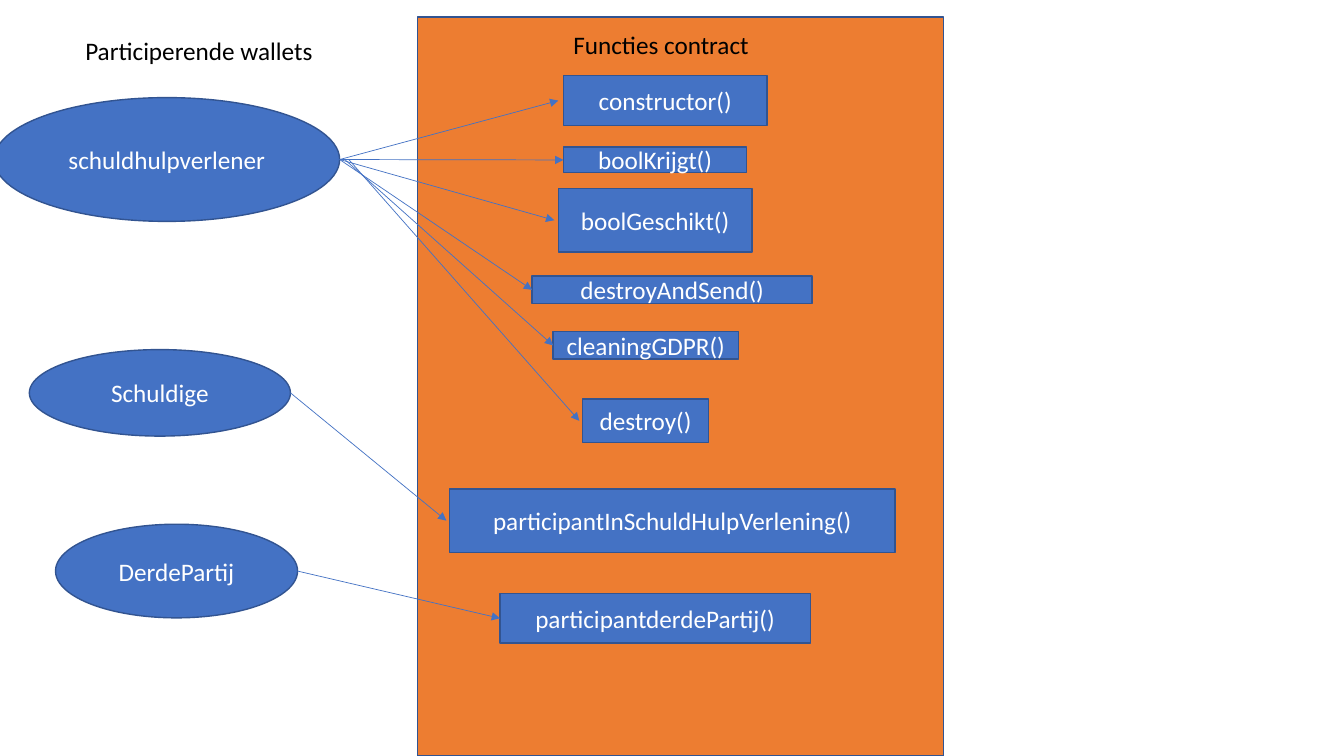
from lxml.etree import SubElement
from pptx import Presentation
from pptx.dml.color import RGBColor
from pptx.enum.shapes import MSO_CONNECTOR, MSO_SHAPE
from pptx.enum.text import MSO_ANCHOR, MSO_AUTO_SIZE, PP_ALIGN
from pptx.oxml.ns import qn
from pptx.util import Cm, Pt

BLUE = RGBColor(0x44, 0x72, 0xC4)
EDGE = RGBColor(0x32, 0x54, 0x91)
ORANGE = RGBColor(0xED, 0x7D, 0x31)
WHITE = RGBColor(0xFF, 0xFF, 0xFF)
BLACK = RGBColor(0x00, 0x00, 0x00)

PANEL = (10.52, 0.43, 13.26, 18.62)

# name: left, top, width, height in cm
WALLETS = {
    "DerdePartij": (1.4, 13.21, 6.1, 2.36),
    "Schuldige": (0.74, 8.81, 6.58, 2.18),
    "schuldhulpverlener": (-0.15, 2.46, 8.71, 3.12),
}
CALLS = {
    "participantInSchuldHulpVerlening()": (11.33, 12.32, 11.23, 1.6),
    "participantderdePartij()": (12.6, 14.96, 7.82, 1.24),
    "boolGeschikt()": (14.07, 4.75, 4.88, 1.6),
    "boolKrijgt()": (14.2, 3.71, 4.62, 0.64),
    "destroy()": (14.68, 10.06, 3.18, 1.09),
    "cleaningGDPR()": (13.94, 8.36, 4.67, 0.69),
    "destroyAndSend()": (13.41, 6.96, 7.06, 0.69),
    "constructor()": (14.2, 1.9, 5.13, 1.27),
}
# wallet, call, space after the wallet, space before the call
LINKS = [
    ("schuldhulpverlener", "constructor()", 0, 0.13),
    ("schuldhulpverlener", "boolKrijgt()", 0, 0),
    ("schuldhulpverlener", "boolGeschikt()", 0, 0.1),
    ("schuldhulpverlener", "destroyAndSend()", 0, 0),
    ("schuldhulpverlener", "cleaningGDPR()", 0.13, 0),
    ("schuldhulpverlener", "destroy()", 0.23, 0.08),
    ("Schuldige", "participantInSchuldHulpVerlening()", 0, 0.08),
    ("DerdePartij", "participantderdePartij()", 0, 0),
]
TITLES = {
    "Participerende wallets": (1.9, 0.76, 6.3, 1.8),
    "Functies contract": (14.2, 0.61, 4.98, 1.02),
}


class Board:
    font = "Calibri"
    size = Pt(18)

    def __init__(self, slide):
        self.slide = slide

    def add_text(self, frame, text, color):
        run = frame.paragraphs[0].add_run()
        run.text = text
        run.font.name = self.font
        run.font.size = self.size
        run.font.color.rgb = color

    def shape(self, kind, box, fill, text=None):
        item = self.slide.shapes.add_shape(kind, *map(Cm, box))
        item.shadow.inherit = False
        item.fill.solid()
        item.fill.fore_color.rgb = fill
        item.line.color.rgb = EDGE
        item.line.width = Pt(1)
        if text:
            frame = item.text_frame
            frame.vertical_anchor = MSO_ANCHOR.MIDDLE
            frame.paragraphs[0].alignment = PP_ALIGN.CENTER
            self.add_text(frame, text, WHITE)
        return item

    def label(self, text, box):
        frame = self.slide.shapes.add_textbox(*map(Cm, box)).text_frame
        frame.word_wrap = False
        frame.auto_size = MSO_AUTO_SIZE.SHAPE_TO_FIT_TEXT
        self.add_text(frame, text, BLACK)

    def arrow(self, start, end, lead, gap):
        """Point from the right side of start to the left side of end."""
        link = self.slide.shapes.add_connector(
            MSO_CONNECTOR.STRAIGHT,
            start.left + start.width + Cm(lead), start.top + start.height // 2,
            end.left - Cm(gap), end.top + end.height // 2)
        if not gap:
            link.end_connect(end, 1)
        link.line.color.rgb = BLUE
        link.line.width = Pt(0.5)
        props = link._element.spPr
        SubElement(props.find(qn("a:ln")), qn("a:tailEnd"), type="triangle")
        SubElement(props, qn("a:effectLst"))


def main():
    deck = Presentation()
    deck.slide_width, deck.slide_height = Cm(33.87), Cm(19.05)
    board = Board(deck.slides.add_slide(deck.slide_layouts[6]))

    board.shape(MSO_SHAPE.RECTANGLE, PANEL, ORANGE)
    nodes = {}
    for kind, group in ((MSO_SHAPE.OVAL, WALLETS), (MSO_SHAPE.RECTANGLE, CALLS)):
        for name, box in group.items():
            nodes[name] = board.shape(kind, box, BLUE, name)
    for wallet, call, lead, gap in LINKS:
        board.arrow(nodes[wallet], nodes[call], lead, gap)
    for text, box in TITLES.items():
        board.label(text, box)

    deck.save("out.pptx")


if __name__ == "__main__":
    main()
